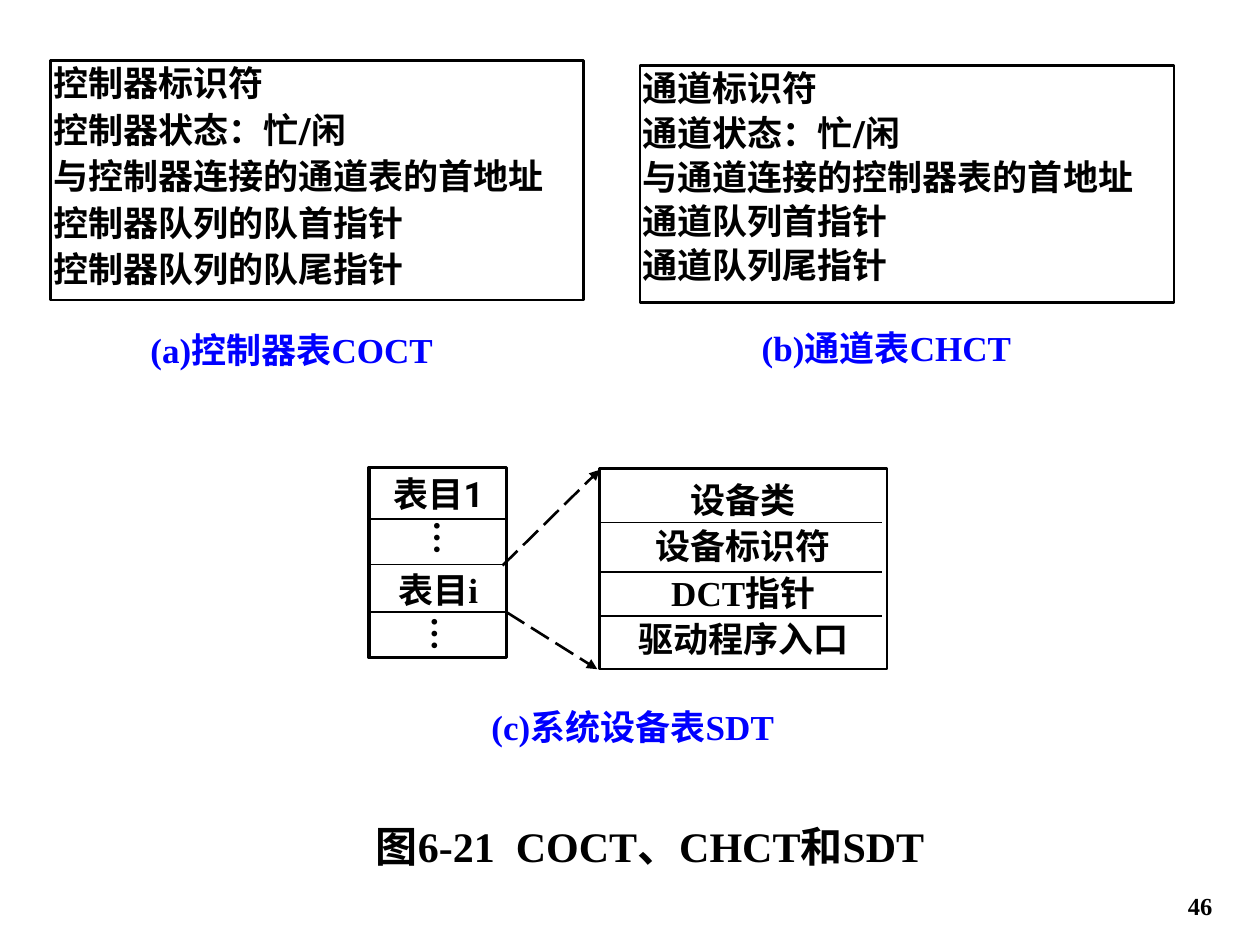
from pptx import Presentation
from pptx.dml.color import RGBColor
from pptx.enum.dml import MSO_LINE
from pptx.enum.shapes import MSO_CONNECTOR, MSO_SHAPE
from pptx.enum.text import MSO_ANCHOR as ANCHOR, PP_ALIGN as ALIGN
from pptx.oxml.ns import qn
from pptx.util import Cm, Pt
from lxml import etree

BLACK = RGBColor(0, 0, 0)
WHITE = RGBColor(255, 255, 255)
BLUE = RGBColor(0, 0, 255)
SERIF = "Times New Roman"
SANS = "Roboto"

prs = Presentation()
prs.slide_width, prs.slide_height = Cm(25.4), Cm(19.05)
slide = prs.slides.add_slide(prs.slide_layouts[6])


def write(s, paragraphs, size=20, color=BLACK, align=ALIGN.CENTER,
          anchor=ANCHOR.TOP, inset=(0.25, 0.13), before=0):
    tf = s.text_frame
    tf.word_wrap = True
    tf.vertical_anchor = anchor
    tf.margin_left = tf.margin_right = Cm(inset[0])
    tf.margin_top = tf.margin_bottom = Cm(inset[1])
    for i, runs in enumerate(paragraphs):
        p = tf.add_paragraph() if i else tf.paragraphs[0]
        p.alignment = align
        if i:
            p.space_before = Pt(before)
        for text, font in runs:
            r = p.add_run()
            r.text = text
            r.font.name = font
            r.font.size = Pt(size)
            r.font.bold = True
            r.font.color.rgb = color


def connect(x1, y1, x2, y2, width=0.75):
    s = slide.shapes.add_connector(MSO_CONNECTOR.STRAIGHT, Cm(x1), Cm(y1), Cm(x2), Cm(y2))
    s.line.color.rgb = BLACK
    s.line.width = Pt(width)
    etree.SubElement(s._element.spPr, qn("a:effectLst"))
    return s


coct = ["控制器标识符", "控制器状态：忙/闲", "与控制器连接的通道表的首地址",
        "控制器队列的队首指针", "控制器队列的队尾指针"]
chct = ["通道标识符", "通道状态：忙/闲", "与通道连接的控制器表的首地址",
        "通道队列首指针", "通道队列尾指针"]
device = ["设备类", "设备标识符", "DCT指针", "驱动程序入口"]

boxes = [
    (1.02, 1.22, 10.74, 4.83, 1.5, coct, SANS, ALIGN.LEFT, ANCHOR.TOP, 0.05, 2.5),
    (12.9, 1.32, 10.77, 4.78, 1.5, chct, SANS, ALIGN.LEFT, ANCHOR.TOP, 0.05, 1.2),
    (7.44, 9.42, 2.77, 3.84, 1.75, [], SANS, ALIGN.CENTER, ANCHOR.TOP, 0.05, 0),
    (12.09, 9.45, 5.79, 4.04, 1.5, device, SERIF, ALIGN.CENTER, ANCHOR.MIDDLE, 0, 2.5),
]
for x, y, w, h, width, lines, font, align, anchor, side, before in boxes:
    s = slide.shapes.add_shape(MSO_SHAPE.RECTANGLE, Cm(x), Cm(y), Cm(w), Cm(h))
    s.shadow.inherit = False
    s.fill.solid()
    s.fill.fore_color.rgb = WHITE
    s.line.color.rgb = BLACK
    s.line.width = Pt(width)
    write(s, [[(line, font)] for line in lines], align=align, anchor=anchor,
          inset=(side, 0.03), before=before)

for y in (10.46, 11.38, 12.34):
    connect(7.44, y, 10.21, y)
for y in (10.54, 11.53, 12.42):
    connect(12.09, y, 17.78, y)

for ends in ((10.13, 11.4, 12.09, 9.47), (10.21, 12.34, 12.04, 13.49)):
    s = connect(*ends, width=1.5)
    s.line.dash_style = MSO_LINE.LONG_DASH
    etree.SubElement(s.line._get_or_add_ln(), qn("a:tailEnd"), type="triangle")

entries = [
    (7.65, 9.5, 2.39, [("表目1", SANS)]),
    (7.54, 11.43, 2.59, [("表目", SANS), ("i", SERIF)]),
]
for x, y, w, runs in entries:
    s = slide.shapes.add_textbox(Cm(x), Cm(y), Cm(w), Cm(0.91))
    write(s, [runs], inset=(0.05, 0.03))

for x, y in ((8.56, 10.44), (8.51, 12.37)):
    s = slide.shapes.add_textbox(Cm(x), Cm(y), Cm(0.94), Cm(0.91))
    write(s, [[("…", SERIF)]], inset=(0.03, 0.05))
    s._element.txBody.bodyPr.set("vert", "eaVert")

captions = [
    (2.64, 6.5, 6.48, 1.96, "(a)控制器表COCT", 20, BLUE, ALIGN.CENTER, ANCHOR.TOP),
    (14.63, 6.45, 6.48, 1.12, "(b)通道表CHCT", 20, BLUE, ALIGN.CENTER, ANCHOR.TOP),
    (8.64, 14.1, 8.23, 1.12, "(c)系统设备表SDT", 20, BLUE, ALIGN.CENTER, ANCHOR.TOP),
    (5.23, 16.41, 15.75, 1.27, "图6-21  COCT、CHCT和SDT", 24, BLACK, ALIGN.CENTER, ANCHOR.TOP),
    (19.41, 17.42, 5.28, 1.27, "46", 14, BLACK, ALIGN.RIGHT, ANCHOR.BOTTOM),
]
for x, y, w, h, text, size, color, align, anchor in captions:
    s = slide.shapes.add_textbox(Cm(x), Cm(y), Cm(w), Cm(h))
    write(s, [[(text, SERIF)]], size, color, align, anchor)

prs.save("out.pptx")
